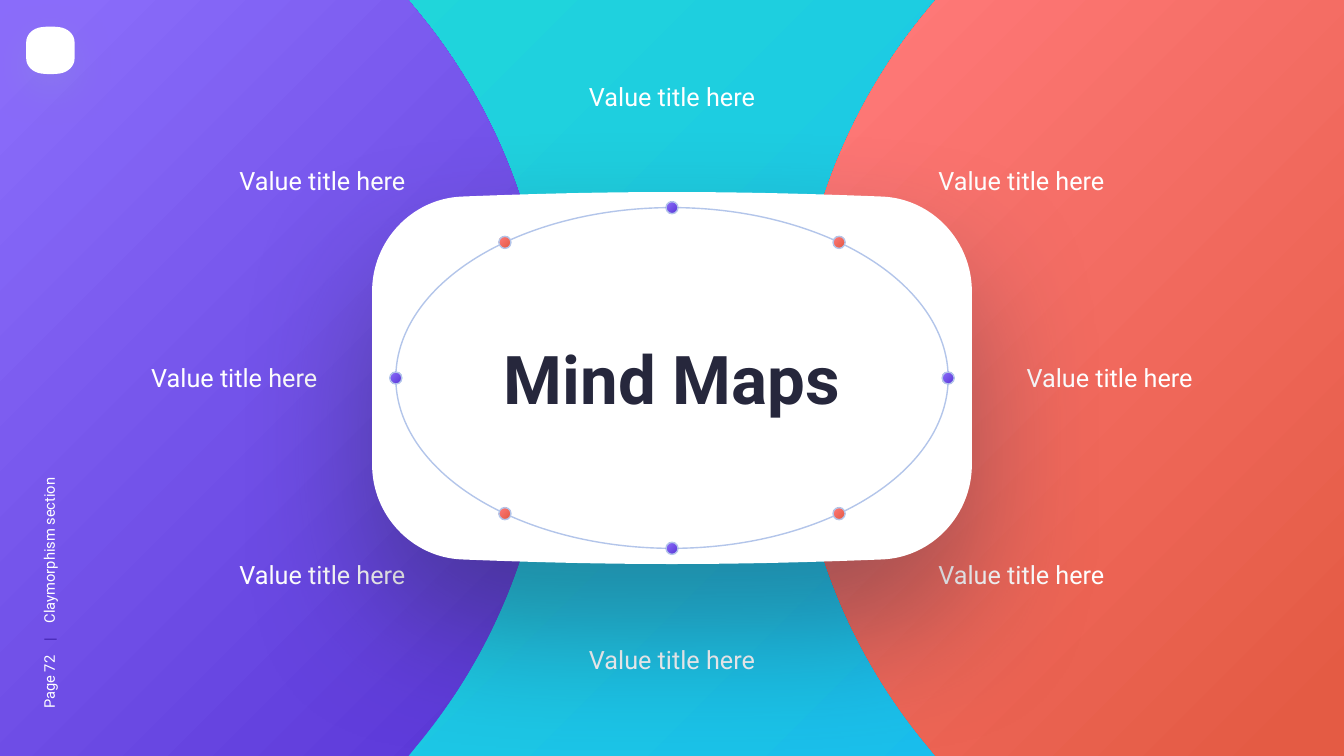
from math import acos, cos, pi, sin

from lxml import etree
from pptx import Presentation
from pptx.dml.color import RGBColor
from pptx.enum.shapes import MSO_SHAPE as SHAPE
from pptx.enum.text import MSO_AUTO_SIZE as AUTO_SIZE, PP_ALIGN as ALIGN
from pptx.oxml import parse_xml
from pptx.oxml.ns import nsdecls, qn
from pptx.util import Inches, Pt

COLORS = {
    "white": "FFFFFF", "ink": "26273C", "ring": "B3C5EA",
    "divider": "3F21AB", "tile_shadow": "93A4CB",
}
GRADIENTS = {
    "teal": ("21DAD7", "18BAF0"),
    "violet": ("8A6CFA", "5B38D8"),
    "coral": ("FF7979", "E45B44"),
}
WIDTH, HEIGHT = 13.333, 7.5
FONT = "Roboto"
LABEL = "Value title here"


def rgb(name):
    return RGBColor.from_string(COLORS[name])


def set_gradient(fill, parent, name):
    fill.solid()
    first, last = GRADIENTS[name]
    gradient = parse_xml(
        f'<a:gradFill {nsdecls("a")} rotWithShape="1"><a:gsLst>'
        f'<a:gs pos="5000"><a:srgbClr val="{first}"/></a:gs>'
        f'<a:gs pos="95000"><a:srgbClr val="{last}"/></a:gs></a:gsLst>'
        '<a:path path="circle"><a:fillToRect r="100000" b="100000"/></a:path>'
        '</a:gradFill>')
    parent.replace(parent.find(qn("a:solidFill")), gradient)


def style(shape, color=None, gradient=None, line=None):
    shape.shadow.inherit = False
    if gradient:
        set_gradient(shape.fill, shape.element.spPr, gradient)
    elif color:
        shape.fill.solid()
        shape.fill.fore_color.rgb = rgb(color)
    else:
        shape.fill.background()
    if line:
        shape.line.color.rgb = rgb(line)
        shape.line.width = Pt(1)
    else:
        shape.line.fill.background()


def add_shadow(shape, color, alpha, blur, distance):
    effects = shape.element.spPr.find(qn("a:effectLst"))
    shadow = etree.SubElement(
        effects, qn("a:outerShdw"), blurRad=str(Pt(blur)), dist=str(Pt(distance)),
        dir="5400000", algn="t", rotWithShape="0")
    tint = etree.SubElement(shadow, qn("a:srgbClr"), val=COLORS[color])
    etree.SubElement(tint, qn("a:alpha"), val=str(alpha * 1000))


def add_outline(slide, start, segments):
    ends = [tuple(map(Inches, segment[-1])) for segment in segments]
    builder = slide.shapes.build_freeform(*map(Inches, start))
    builder.add_line_segments(ends, close=True)
    shape = builder.convert_to_shape()
    lines = shape.element.findall(".//" + qn("a:lnTo"))
    for line, segment in zip(lines, segments):
        if len(segment) == 3:
            curve = etree.Element(qn("a:cubicBezTo"))
            for x, y in segment:
                etree.SubElement(curve, qn("a:pt"), x=str(Inches(x) - shape.left),
                                 y=str(Inches(y) - shape.top))
            line.getparent().replace(line, curve)
    return shape


def add_text(slide, box, runs, size, align=ALIGN.LEFT, bold=False):
    shape = slide.shapes.add_textbox(*map(Inches, box))
    frame = shape.text_frame
    frame.word_wrap = True
    frame.auto_size = AUTO_SIZE.SHAPE_TO_FIT_TEXT
    paragraph = frame.paragraphs[0]
    paragraph.alignment = align
    for text, color in runs:
        run = paragraph.add_run()
        run.text = text
        run.font.name = FONT
        run.font.size = Pt(size)
        run.font.bold = bold
        run.font.color.rgb = rgb(color)
    return shape


def add_side_panels(slide, width, height):
    middle = height / 2
    segments = [
        [(4.05, 0)], [(4.14, 0.11)],
        [(4.96, 1.1), (5.45, 2.37), (5.45, middle)],
        [(5.45, 5.13), (4.96, 6.4), (4.14, 7.39)],
        [(4.05, height)], [(0, height)]]
    style(add_outline(slide, (0, 0), segments), gradient="violet")
    mirrored = [[(width - x, y) for x, y in segment] for segment in segments]
    style(add_outline(slide, (width, 0), mirrored), gradient="coral")


def add_cushion(slide, center_x, center_y, quarter):
    upper = quarter + [(-x, y) for x, y in reversed(quarter[:-1])]
    lower = [(-x, -y) for x, y in upper]
    segments = []
    for half in (upper, lower):
        points = [(center_x + x, center_y + y) for x, y in half]
        segments.append(points[:1])
        segments += [points[i:i + 3] for i in range(1, len(points), 3)]
    start = segments.pop(0)[0]
    shape = add_outline(slide, start, segments)
    style(shape, "white")
    return shape


def add_margin(slide, center_x):
    page = add_text(slide, (center_x - 1.61, 5.38, 3.21, 0.29),
                    [("Page 72    ", "white"), ("|", "divider"),
                     ("    Claymorphism section", "white")], 10.5)
    page.rotation = 270
    tile = add_cushion(slide, center_x, 0.5, [
        (-0.24, -0.08), (-0.24, -0.16), (-0.17, -0.22), (-0.09, -0.23),
        (-0.06, -0.235), (-0.03, -0.235), (0, -0.235)])
    add_shadow(tile, "tile_shadow", 25, 30, 10)


def add_labels(slide, center_x, center_y):
    height = 0.4
    places = [(side * reach, rise)
              for reach, rise in ((3.42, 0), (2.545, -1.96), (2.545, 1.95))
              for side in (-1, 1)]
    for x, y in places + [(0, 2.79), (0, -2.79)]:
        width = 2.26 if x else 2.52
        if x < 0:
            left, align = center_x + x - width, ALIGN.RIGHT
        elif x > 0:
            left, align = center_x + x, ALIGN.LEFT
        else:
            left, align = center_x - width / 2, ALIGN.CENTER
        add_text(slide, (left, center_y + y - height / 2, width, height),
                 [(LABEL, "white")], 18, align)


def add_card(slide, center_x, center_y):
    card = add_cushion(slide, center_x, center_y, [
        (-2.975, -0.86), (-2.975, -1.36), (-2.58, -1.78), (-2.085, -1.8),
        (-1.33, -1.83), (-0.66, -1.845), (0, -1.845)])
    add_shadow(card, "ink", 40, 100, 49)


def add_circle(slide, center_x, center_y, width, height, gradient=None):
    shape = slide.shapes.add_shape(
        SHAPE.OVAL, Inches(center_x - width / 2), Inches(center_y - height / 2),
        Inches(width), Inches(height))
    style(shape, gradient=gradient, line="ring")


def add_ring(slide, center_x, center_y, radius_x, radius_y):
    add_circle(slide, center_x, center_y, 2 * radius_x, 2 * radius_y)
    slant = acos(0.605)
    straight = [quarter * pi / 2 for quarter in range(4)]
    slanted = [slant, -slant, pi - slant, pi + slant]
    for gradient, angles in (("violet", straight), ("coral", slanted)):
        for angle in angles:
            add_circle(slide, center_x + radius_x * cos(angle),
                       center_y + radius_y * sin(angle), 0.12, 0.12, gradient)
    add_text(slide, (center_x - 2.445, center_y - 0.45, 4.89, 0.91),
             [("Mind Maps", "ink")], 48, ALIGN.CENTER, True)


def main():
    presentation = Presentation()
    presentation.slide_width = Inches(WIDTH)
    presentation.slide_height = Inches(HEIGHT)
    slide = presentation.slides.add_slide(presentation.slide_layouts[6])
    fill = slide.background.fill
    fill.solid()
    set_gradient(fill, slide.element.find(".//" + qn("p:bgPr")), "teal")
    center = (WIDTH / 2, HEIGHT / 2)
    add_side_panels(slide, WIDTH, HEIGHT)
    add_margin(slide, 0.5)
    add_labels(slide, *center)
    add_card(slide, *center)
    add_ring(slide, *center, 2.74, 1.69)
    presentation.save("out.pptx")


if __name__ == "__main__":
    main()
